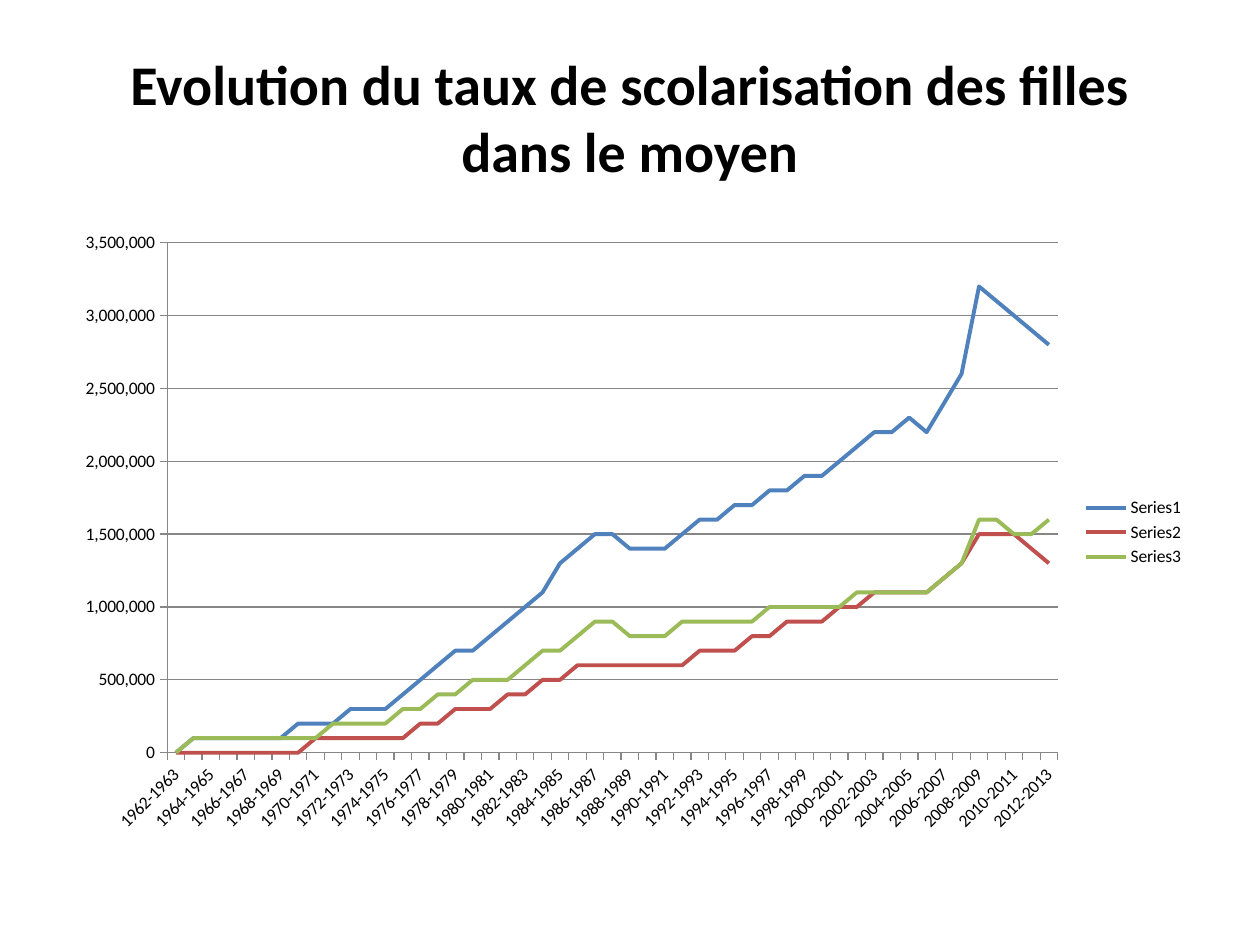
import pptx
import pptx.chart.data
import pptx.dml.color
import pptx.enum.chart
import pptx.enum.text
import pptx.oxml.ns
import pptx.util

SLIDE_WIDTH, SLIDE_HEIGHT = 10, 7.5
FONT = "Calibri"
COLORS = {
    "text": "000000",
    "axis": "868686",
    "Series1": "4F81BD",
    "Series2": "C0504D",
    "Series3": "9BBB59",
}
YEARS = [f"{year}-{year + 1}" for year in range(1962, 2013)]
VALUE_UNIT = 100000
ENROLMENT = {
    "Series1": [
        0, 1, 1, 1, 1, 1, 1, 2, 2, 2, 3, 3, 3, 4, 5, 6, 7,
        7, 8, 9, 10, 11, 13, 14, 15, 15, 14, 14, 14, 15, 16, 16, 17, 17,
        18, 18, 19, 19, 20, 21, 22, 22, 23, 22, 24, 26, 32, 31, 30, 29, 28,
    ],
    "Series2": [
        0, 0, 0, 0, 0, 0, 0, 0, 1, 1, 1, 1, 1, 1, 2, 2, 3,
        3, 3, 4, 4, 5, 5, 6, 6, 6, 6, 6, 6, 6, 7, 7, 7, 8,
        8, 9, 9, 9, 10, 10, 11, 11, 11, 11, 12, 13, 15, 15, 15, 14, 13,
    ],
    "Series3": [
        0, 1, 1, 1, 1, 1, 1, 1, 1, 2, 2, 2, 2, 3, 3, 4, 4,
        5, 5, 5, 6, 7, 7, 8, 9, 9, 8, 8, 8, 9, 9, 9, 9, 9,
        10, 10, 10, 10, 10, 11, 11, 11, 11, 11, 12, 13, 16, 16, 15, 15, 16,
    ],
}


def color(name):
    """Return the named colour."""
    return pptx.dml.color.RGBColor.from_string(COLORS[name])


def area(left, top, width, height):
    """Turn shares of the slide's size into lengths."""
    return [
        pptx.util.Inches(share * size)
        for share, size in zip(
            (left, top, width, height), (SLIDE_WIDTH, SLIDE_HEIGHT) * 2
        )
    ]


def style_font(font, size, bold=False):
    """Set the typeface, size, weight and colour of a font."""
    font.name = FONT
    font.size = pptx.util.Pt(size)
    font.bold = bold
    font.color.rgb = color("text")


def style_line(line, name, width):
    """Set the colour and width of a line."""
    line.color.rgb = color(name)
    line.width = pptx.util.Pt(width)


def add_title(slide, text):
    """Add the centred slide title."""
    shape = slide.shapes.add_textbox(*area(0.05, 0.04, 0.9, 1 / 6))
    frame = shape.text_frame
    frame.word_wrap = True
    frame.vertical_anchor = pptx.enum.text.MSO_ANCHOR.MIDDLE
    paragraph = frame.paragraphs[0]
    paragraph.alignment = pptx.enum.text.PP_ALIGN.CENTER
    run = paragraph.add_run()
    run.text = text
    style_font(run.font, 32, bold=True)


def style_axis(axis):
    """Give an axis its line, outer ticks and label font."""
    style_line(axis.format.line, "axis", 0.75)
    axis.major_tick_mark = pptx.enum.chart.XL_TICK_MARK.OUTSIDE
    axis.minor_tick_mark = pptx.enum.chart.XL_TICK_MARK.NONE
    style_font(axis.tick_labels.font, 10)


def add_enrolment_chart(slide):
    """Add the line chart of enrolment by school year."""
    data = pptx.chart.data.CategoryChartData(number_format="#,##0")
    data.categories = YEARS
    for name, values in ENROLMENT.items():
        data.add_series(name, [value * VALUE_UNIT for value in values])
    chart = slide.shapes.add_chart(
        pptx.enum.chart.XL_CHART_TYPE.LINE, *area(0.05, 7 / 30, 0.9, 0.66), data
    ).chart
    chart.has_title = False
    style_font(chart.font, 10)
    chart.has_legend = True
    chart.legend.position = pptx.enum.chart.XL_LEGEND_POSITION.RIGHT
    chart.legend.include_in_layout = False
    style_font(chart.legend.font, 10)
    chart.plots[0].vary_by_categories = False
    for series in chart.plots[0].series:
        series.smooth = False
        series.marker.style = pptx.enum.chart.XL_MARKER_STYLE.NONE
        style_line(series.format.line, series.name, 2.25)

    category_axis, value_axis = chart.category_axis, chart.value_axis
    for axis in (category_axis, value_axis):
        style_axis(axis)
    category_axis.has_major_gridlines = False
    body = category_axis._element.find(".//" + pptx.oxml.ns.qn("a:bodyPr"))
    body.set("rot", "-2700000")
    value_axis.minimum_scale, value_axis.maximum_scale = 0, 3500000
    value_axis.major_unit = 500000
    value_axis.has_major_gridlines = True
    style_line(value_axis.major_gridlines.format.line, "axis", 0.75)
    value_axis.tick_labels.number_format = "#,##0"
    value_axis.tick_labels.number_format_is_linked = False


def main():
    """Build and save the presentation."""
    presentation = pptx.Presentation()
    presentation.slide_width = pptx.util.Inches(SLIDE_WIDTH)
    presentation.slide_height = pptx.util.Inches(SLIDE_HEIGHT)
    slide = presentation.slides.add_slide(presentation.slide_layouts[6])
    add_title(slide, "Evolution du taux de scolarisation des filles dans le moyen")
    add_enrolment_chart(slide)
    presentation.save("out.pptx")


if __name__ == "__main__":
    main()
